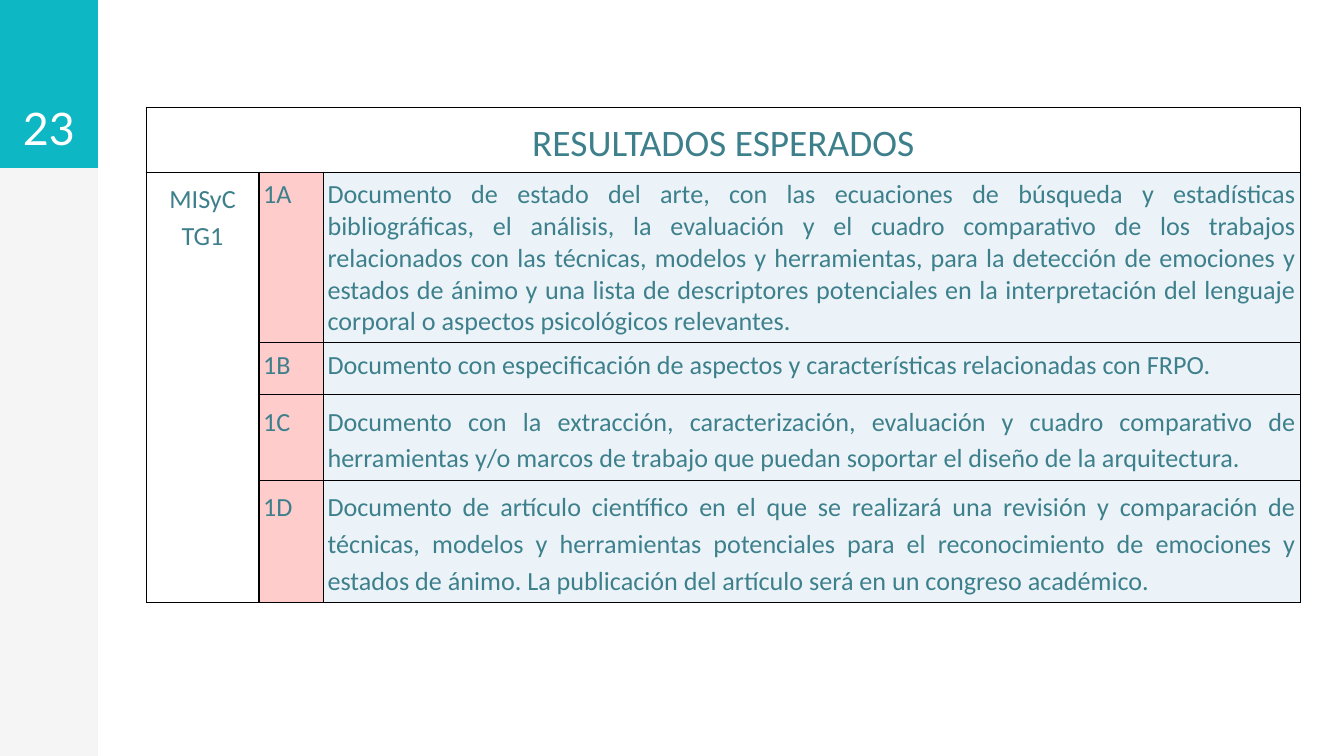
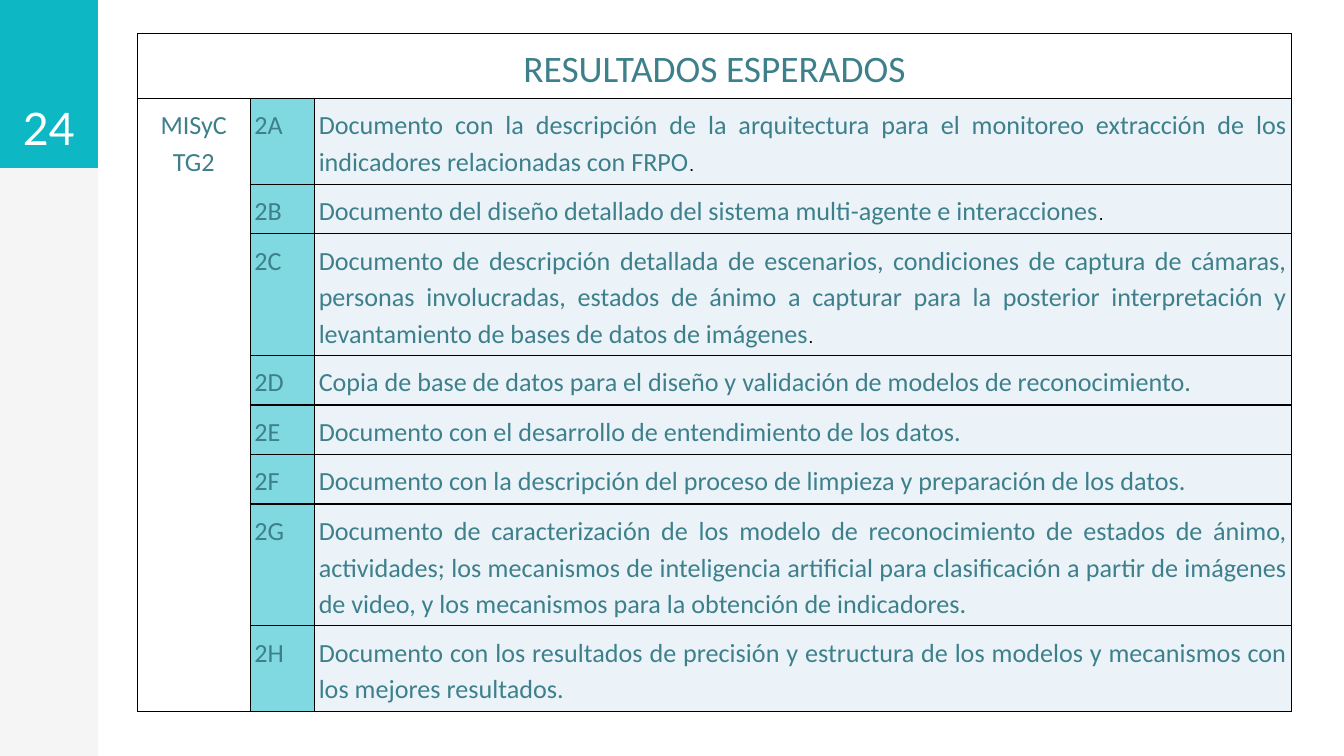
from lxml import etree
from pptx import Presentation
from pptx.dml.color import RGBColor
from pptx.enum import shapes, text
from pptx.oxml.ns import qn
from pptx.util import Pt

TEAL, INK, BLACK, WHITE = "0DB7C4", "3D808C", "000000", "FFFFFF"
ROSE, PALE = "FF0000", "D6E6F2"
WIDE, HIGH = 720, 405
BAND, HEAD = 52.5, 90
COLS = (60.5, 34.5, 523.5)
TITLE_ROW = 26.6
MID, JUST = text.PP_ALIGN.CENTER, text.PP_ALIGN.JUSTIFY

# Each row: height, line spacing, text, separate small full stop
FIRST = [
    (82, 1, "Documento de estado del arte, con las ecuaciones de búsqueda y estadísticas "
     "bibliográficas, el análisis, la evaluación y el cuadro comparativo de los trabajos "
     "relacionados con las técnicas, modelos y herramientas, para la detección de emociones y "
     "estados de ánimo y una lista de descriptores potenciales en la interpretación del lenguaje "
     "corporal o aspectos psicológicos relevantes.", ""),
    (28, 1, "Documento con especificación de aspectos y características relacionadas con FRPO.", ""),
    (46, 1.15, "Documento con la extracción, caracterización, evaluación y cuadro comparativo de "
     "herramientas y/o marcos de trabajo que puedan soportar el diseño de la arquitectura.", ""),
    (64, 1.15, "Documento de artículo científico en el que se realizará una revisión y comparación "
     "de técnicas, modelos y herramientas potenciales para el reconocimiento de emociones y "
     "estados de ánimo. La publicación del artículo será en un congreso académico.", ""),
]
SECOND = [
    (38, 1.15, "Documento con la descripción de la arquitectura para el monitoreo extracción de "
     "los indicadores relacionadas con FRPO", "."),
    (19, 1.15, "Documento del diseño detallado del sistema multi-agente e interacciones", "."),
    (57, 1.15, "Documento de descripción detallada de escenarios, condiciones de captura de "
     "cámaras, personas involucradas, estados de ánimo a capturar para la posterior "
     "interpretación y levantamiento de bases de datos de imágenes", "."),
    (26.6, 1.15, "Copia de base de datos para el diseño y validación de modelos de "
     "reconocimiento.", ""),
    (26.6, 1.15, "Documento con el desarrollo de entendimiento de los datos.", ""),
    (24.5, 1.15, "Documento con la descripción del proceso de limpieza y preparación de los "
     "datos.", ""),
    (57, 1.15, "Documento de caracterización de los modelo de reconocimiento de estados de ánimo, "
     "actividades; los mecanismos de inteligencia artificial para clasificación a partir de "
     "imágenes de video, y los mecanismos para la obtención de indicadores.", ""),
    (44.6, 1.15, "Documento con los resultados de precisión y estructura de los modelos y "
     "mecanismos con los mejores resultados.", ""),
]


def color(code):
    return RGBColor.from_string(code)


def paint(fill, code, alpha=100):
    """Fill with a solid colour; alpha is the opacity in percent."""
    fill.solid()
    fill.fore_color.rgb = color(code)
    if alpha < 100:
        tint = fill._xPr.find(qn("a:solidFill"))[0]
        etree.SubElement(tint, qn("a:alpha")).set("val", str(alpha * 1000))


def write(para, words, size=14, ink=INK, face="Calibri", align=None, lead=None):
    """Add one run to a paragraph."""
    run = para.add_run()
    run.text = words
    run.font.size, run.font.name = Pt(size), face
    run.font.color.rgb = color(ink)
    if align is not None:
        para.alignment = align
    if lead:
        para.line_spacing = lead


def block(slide, left, top, width, height, code, alpha=100):
    box = slide.shapes.add_shape(shapes.MSO_SHAPE.RECTANGLE,
                                 Pt(left), Pt(top), Pt(width), Pt(height))
    box.shadow.inherit = False
    box.line.fill.background()
    paint(box.fill, code, alpha)


def sidebar(slide, number):
    block(slide, 0, 0, BAND, HIGH, BLACK, 4)
    block(slide, 0, 0, BAND, HEAD, TEAL)
    frame = slide.shapes.add_textbox(0, 0, Pt(BAND), Pt(HEAD)).text_frame
    frame.word_wrap = True
    frame.vertical_anchor = text.MSO_ANCHOR.BOTTOM
    frame.margin_left = frame.margin_right = Pt(7.2)
    frame.margin_top = frame.margin_bottom = Pt(7.2)
    write(frame.paragraphs[0], str(number), 24, WHITE, "Lato", MID)


def border(cell):
    props = cell._tc.get_or_add_tcPr()
    for i, side in enumerate("LRTB"):
        line = etree.Element(qn("a:ln" + side), w=str(Pt(0.75)))
        fill = etree.SubElement(line, qn("a:solidFill"))
        etree.SubElement(fill, qn("a:srgbClr"), val=BLACK)
        props.insert(i, line)


def results(slide, left, top, stage, rows, tint, alpha):
    """Table of expected results for one stage, coded 1A, 1B and so on."""
    heights = [TITLE_ROW] + [row[0] for row in rows]
    table = slide.shapes.add_table(len(heights), len(COLS), Pt(left), Pt(top),
                                   Pt(sum(COLS)), Pt(sum(heights))).table
    table.first_row = table.horz_banding = False
    for col, width in zip(table.columns, COLS):
        col.width = Pt(width)
    for row, height in zip(table.rows, heights):
        row.height = Pt(height)
    for cell in table.iter_cells():
        cell.margin_left = cell.margin_right = Pt(2.2)
        cell.margin_top = cell.margin_bottom = Pt(3.6)
        cell.fill.background()
        border(cell)

    def para(row, col):
        return table.cell(row, col).text_frame.paragraphs[0]

    table.cell(0, 0).merge(table.cell(0, 2))
    table.cell(1, 0).merge(table.cell(len(rows), 0))
    write(para(0, 0), "RESULTADOS ESPERADOS", 20, align=MID, lead=1.15)
    write(para(1, 0), f"MISyC TG{stage}", align=MID, lead=1.15)
    for i, (_, lead, words, stop) in enumerate(rows, 1):
        paint(table.cell(i, 1).fill, tint, alpha)
        paint(table.cell(i, 2).fill, PALE, 47)
        write(para(i, 1), f"{stage}{'ABCDEFGH'[i - 1]}", align=JUST, lead=lead)
        write(para(i, 2), words, align=JUST, lead=lead)
        if stop:
            write(para(i, 2), stop, 10, BLACK, "Arial")


def main():
    deck = Presentation()
    deck.slide_width, deck.slide_height = Pt(WIDE), Pt(HIGH)
    pages = [
        (23, (78.3, 57.4, 1, FIRST, ROSE, 20)),
        (24, (73.6, 18, 2, SECOND, TEAL, 52)),
    ]
    for number, parts in pages:
        slide = deck.slides.add_slide(deck.slide_layouts[6])
        sidebar(slide, number)
        results(slide, *parts)
    deck.save("out.pptx")


if __name__ == "__main__":
    main()
